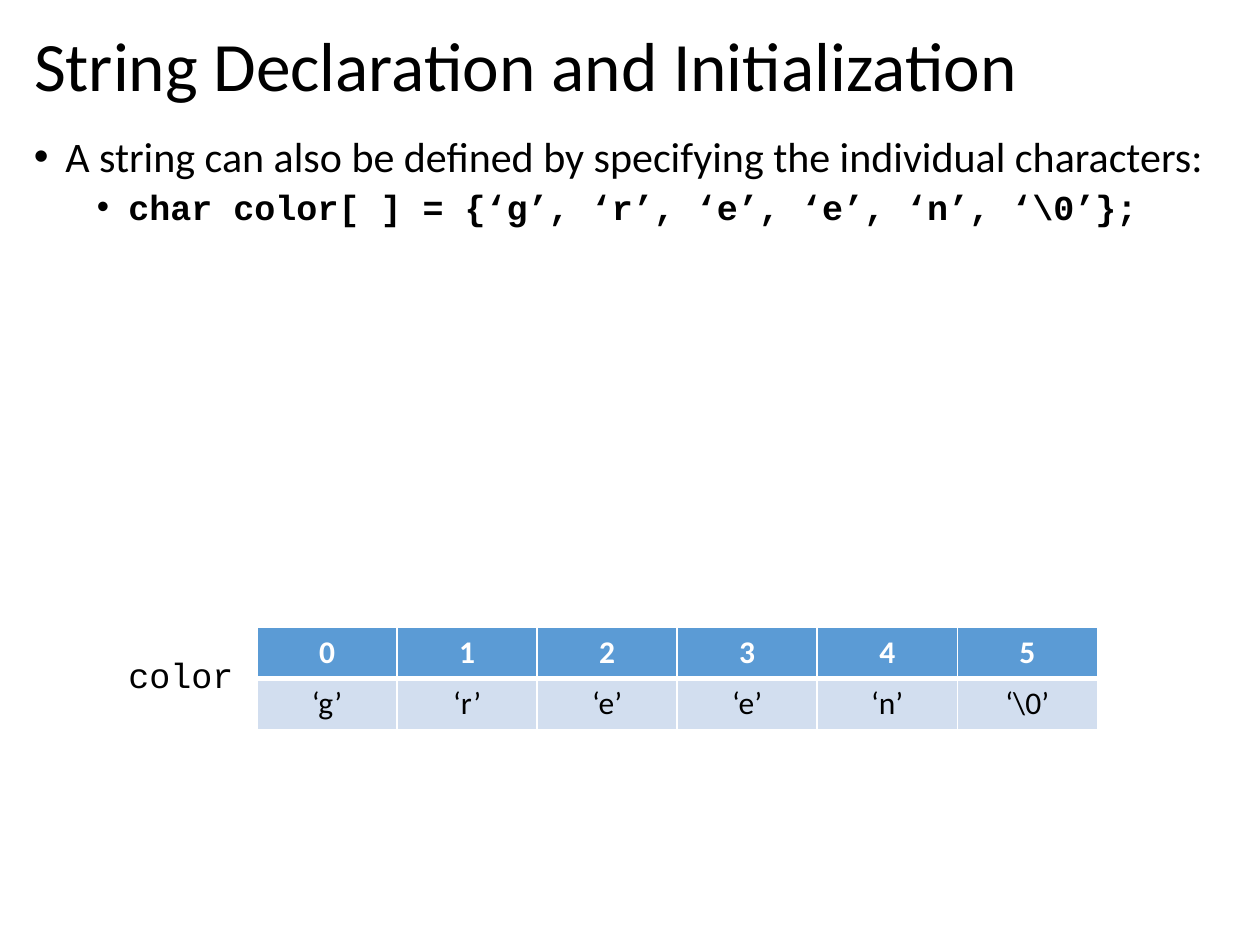
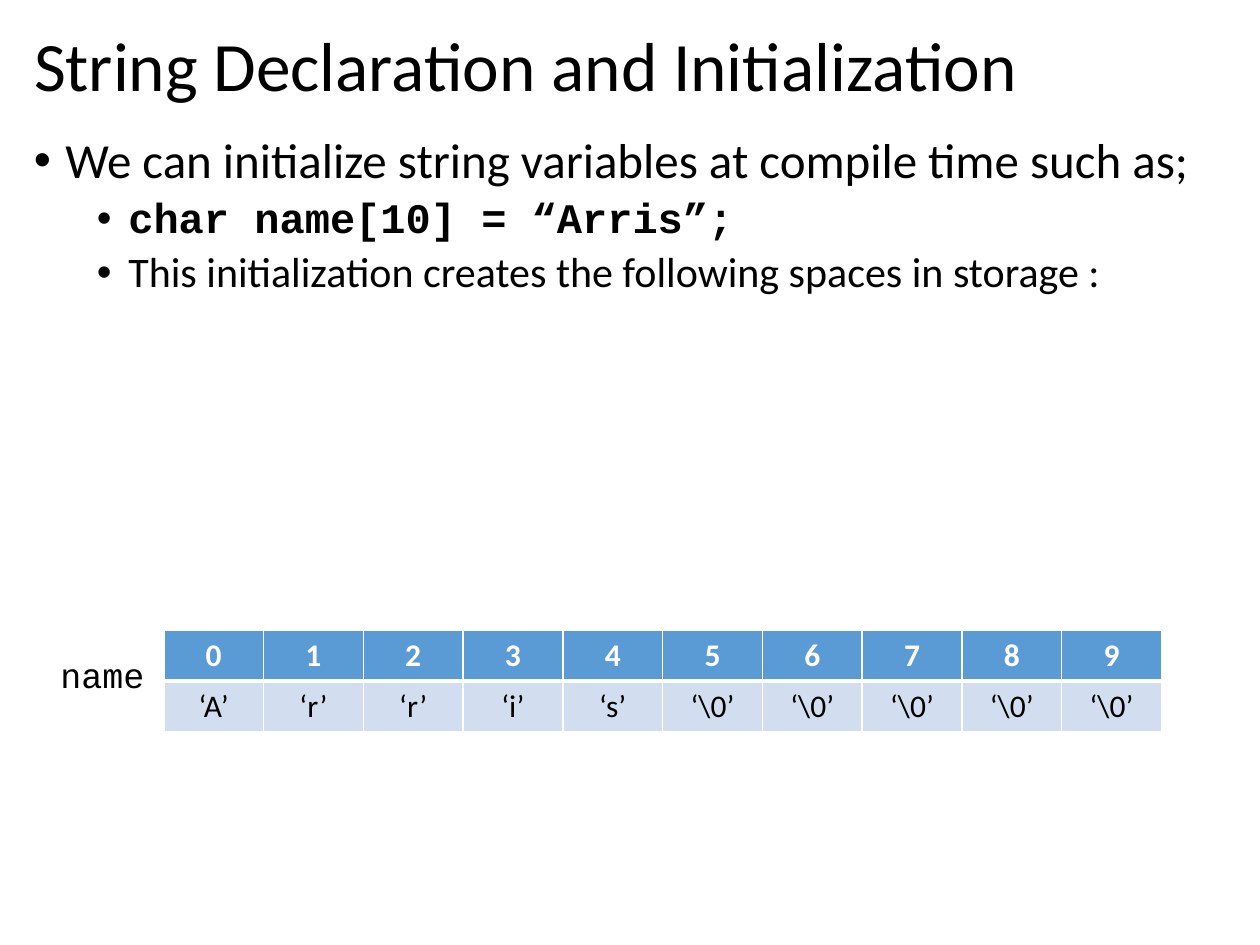
from lxml import etree
from pptx import Presentation
from pptx.dml.color import RGBColor
from pptx.enum.text import MSO_ANCHOR, MSO_AUTO_SIZE, PP_ALIGN
from pptx.oxml.ns import qn
from pptx.util import Inches, Pt

BLACK = RGBColor(0x00, 0x00, 0x00)
WHITE = RGBColor(0xFF, 0xFF, 0xFF)
INDEX_BLUE = RGBColor(0x5B, 0x9B, 0xD5)
VALUE_BLUE = RGBColor(0xD2, 0xDE, 0xEF)
LEFT, CENTER = PP_ALIGN.LEFT, PP_ALIGN.CENTER
TOP, MIDDLE = MSO_ANCHOR.TOP, MSO_ANCHOR.MIDDLE
FIT_SHAPE, NO_FIT = MSO_AUTO_SIZE.SHAPE_TO_FIT_TEXT, MSO_AUTO_SIZE.NONE

SANS, MONO = "Calibri", "Courier New"
TITLE_ONLY = 5
COLUMNS, ROWS = 100, 75
HEADING = "String Declaration and Initialization"
TITLE_BOX = (1.7, 1.8, 96.2, 7.4)
BODY_BOX = (1.7, 10.3, 96.2, 57.3)
ROW_HEIGHT = 4.05


class Deck:
    """Holds the shared style, the grid and the current slide."""

    def __init__(self):
        self.prs = Presentation()
        self.prs.slide_width, self.prs.slide_height = Inches(10), Inches(7.5)
        self.s = None

    def place(self, left, top, width, height):
        col, row = self.prs.slide_width / COLUMNS, self.prs.slide_height / ROWS
        return int(left * col), int(top * row), int(width * col), int(height * row)

    def text(self, p, words, size, name=SANS, bold=False, color=BLACK, **layout):
        r = p.add_run()
        r.text = words
        r.font.color.rgb = color
        for key, value in dict(size=Pt(size), name=name, bold=bold).items():
            setattr(r.font, key, value)
        for key, value in layout.items():
            setattr(p, key, value)

    def frame(self, sp, anchor=TOP, fit=NO_FIT):
        tf = sp.text_frame
        for key, value in dict(word_wrap=True, auto_size=fit, vertical_anchor=anchor).items():
            setattr(tf, key, value)
        return tf

    def slide(self, heading):
        self.s = self.prs.slides.add_slide(self.prs.slide_layouts[TITLE_ONLY])
        sp = self.s.shapes.title
        sp.left, sp.top, sp.width, sp.height = self.place(*TITLE_BOX)
        tf = self.frame(sp, MIDDLE)
        self.text(tf.paragraphs[0], heading, 39.6, alignment=LEFT, line_spacing=0.9)

    def bullets(self, items):
        tf = self.frame(self.s.shapes.add_textbox(*self.place(*BODY_BOX)))
        for i, (level, words, font) in enumerate(items):
            p = tf.add_paragraph() if i else tf.paragraphs[0]
            self.text(p, words, **font, level=level, line_spacing=0.9,
                      space_before=Pt(5 if level else 10))
            pPr = p._p.get_or_add_pPr()
            pPr.set("marL", str(Inches(0.25 + 0.5 * level)))
            pPr.set("indent", str(Inches(-0.25)))
            etree.SubElement(pPr, qn("a:buFont")).set("typeface", "Arial")
            etree.SubElement(pPr, qn("a:buChar")).set("char", "•")

    def label(self, words, left):
        sp = self.s.shapes.add_textbox(*self.place(left, 51.4, 10.9, 4.4))
        self.text(self.frame(sp, fit=FIT_SHAPE).paragraphs[0], words, 20, MONO)

    def borders(self, cell, widths):
        tcPr = cell._tc.get_or_add_tcPr()
        for side, width in zip("LRTB", widths):
            ln = etree.SubElement(tcPr, qn(f"a:ln{side}"), w=str(Pt(width)))
            fill = etree.SubElement(ln, qn("a:solidFill"))
            etree.SubElement(fill, qn("a:srgbClr"), val=str(WHITE))

    def memory(self, characters, left, top, width):
        """Draw a character array: indices above, quoted values below."""
        count = len(characters)
        box = self.place(left, top, width, 2 * ROW_HEIGHT)
        table = self.s.shapes.add_table(2, count, *box).table
        table.horz_banding = False
        for column in table.columns:
            column.width = box[2] // count
        rows = (
            (map(str, range(count)), INDEX_BLUE, WHITE, True, (1, 1, 1, 3)),
            ((f"‘{c}’" for c in characters), VALUE_BLUE, BLACK, False, (1, 1, 3, 1)),
        )
        for y, (entries, fill, color, bold, widths) in enumerate(rows):
            for x, words in enumerate(entries):
                cell = table.cell(y, x)
                self.borders(cell, widths)
                cell.fill.solid()
                cell.fill.fore_color.rgb = fill
                self.text(cell.text_frame.paragraphs[0], words, 18,
                          bold=bold, color=color, alignment=CENTER)


def main():
    deck = Deck()

    deck.slide(HEADING)
    deck.bullets([
        (0, "A string can also be defined by specifying the individual characters:",
         dict(size=24)),
        (1, r"char color[ ] = {‘g’, ‘r’, ‘e’, ‘e’, ‘n’, ‘\0’};",
         dict(size=20, name=MONO, bold=True)),
    ])
    deck.label("color", 9.2)
    deck.memory([*"green", r"\0"], 20.4, 49.8, 66.7)

    deck.slide(HEADING)
    deck.bullets([
        (0, "We can initialize string variables at compile time such as;", dict(size=28)),
        (1, "char name[10] = “Arris”;", dict(size=24, name=MONO, bold=True)),
        (1, "This initialization creates the following spaces in storage :", dict(size=24)),
    ])
    deck.memory([*"Arris"] + [r"\0"] * 5, 13, 50, 79.2)
    deck.label("name", 3.8)

    deck.prs.save("out.pptx")


if __name__ == "__main__":
    main()
